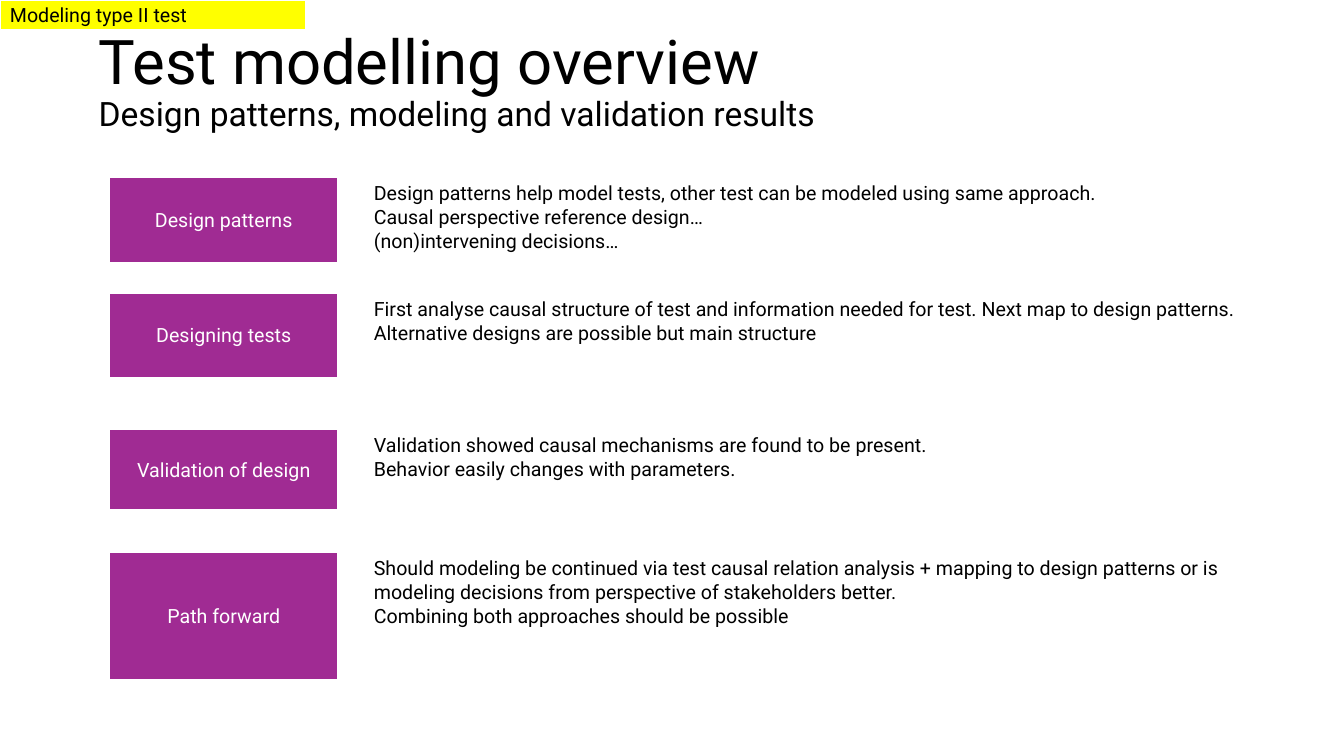
"""Build the test modelling overview slide."""
from dataclasses import dataclass

from pptx import Presentation
from pptx import util as u
from pptx.dml.color import RGBColor
from pptx.enum import shapes, text

TAG = ("Modeling type II test", (0, 0, 304, 30))
HEADING = ["Test modelling overview", "Design patterns, modeling and validation results"]
HEADING_BOX = (88, 18, 1190, 128)

TOPICS = [
    ("Design patterns", 175, 86, 81, [
        "Design patterns help model tests, other test can be modeled using same approach.",
        "Causal perspective reference design…",
        "(non)intervening decisions…"]),
    ("Designing tests", 290, 85, 57, [
        "First analyse causal structure of test and information needed for test. "
        "Next map to design patterns.",
        "Alternative designs are possible but main structure"]),
    ("Validation of design", 425, 81, 57, [
        "Validation showed causal mechanisms are found to be present.",
        "Behavior easily changes with parameters."]),
    ("Path forward", 547, 128, 81, [
        "Should modeling be continued via test causal relation analysis + mapping to "
        "design patterns or is modeling decisions from perspective of stakeholders better.",
        "Combining both approaches should be possible"]),
]

SLIDE_W, SLIDE_H = 1333, 750
LABEL_X, LABEL_W = 108, 228
DETAIL_X, DETAIL_W = 361, 894
PX = 9144


@dataclass(frozen=True)
class Theme:
    """Colours, font and type sizes."""
    font: str = "Roboto"
    black: str = "000000"
    white: str = "FFFFFF"
    purple: str = "A02B93"
    yellow: str = "FFFF00"
    title: int = 44
    subtitle: int = 24
    body: int = 14
    outline: int = 2


THEME = Theme()


def emu(box):
    """Turn px lengths into EMU."""
    return [u.Emu(v * PX) for v in box]


def write(sp, lines, sizes, color, align, anchor, spacing=None):
    """Fill a shape with one paragraph per line."""
    tf = sp.text_frame
    tf.word_wrap = True
    tf.vertical_anchor = anchor
    tf.text = "\n".join(lines)
    for p, size in zip(tf.paragraphs, sizes):
        p.alignment = align
        p.line_spacing = spacing
        for r in p.runs:
            r.font.name = THEME.font
            r.font.size = u.Pt(size)
            r.font.color.rgb = RGBColor.from_string(color)


def add_block(s, label, box, fill, color, align):
    """Add a filled rectangle with a one-line label."""
    sp = s.shapes.add_shape(shapes.MSO_SHAPE.RECTANGLE, *emu(box))
    sp.shadow.inherit = False
    sp.fill.solid()
    sp.fill.fore_color.rgb = RGBColor.from_string(fill)
    sp.line.color.rgb = RGBColor.from_string(THEME.white)
    sp.line.width = u.Pt(THEME.outline)
    write(sp, [label], [THEME.body], color, align, text.MSO_ANCHOR.MIDDLE)


def main():
    """Lay out the slide and save it."""
    prs = Presentation()
    prs.slide_width, prs.slide_height = emu((SLIDE_W, SLIDE_H))
    s = prs.slides.add_slide(prs.slide_layouts[6])
    left, center = text.PP_ALIGN.LEFT, text.PP_ALIGN.CENTER

    sp = s.shapes.add_textbox(*emu(HEADING_BOX))
    write(sp, HEADING, [THEME.title, THEME.subtitle], THEME.black, left,
          text.MSO_ANCHOR.MIDDLE, 0.9)

    for label, y, label_h, detail_h, lines in TOPICS:
        add_block(s, label, (LABEL_X, y, LABEL_W, label_h), THEME.purple, THEME.white, center)
        sp = s.shapes.add_textbox(*emu((DETAIL_X, y, DETAIL_W, detail_h)))
        write(sp, lines, [THEME.body] * len(lines), THEME.black, left, text.MSO_ANCHOR.TOP)
        sp.text_frame.auto_size = text.MSO_AUTO_SIZE.SHAPE_TO_FIT_TEXT

    add_block(s, *TAG, THEME.yellow, THEME.black, left)
    prs.save("out.pptx")


if __name__ == "__main__":
    main()
